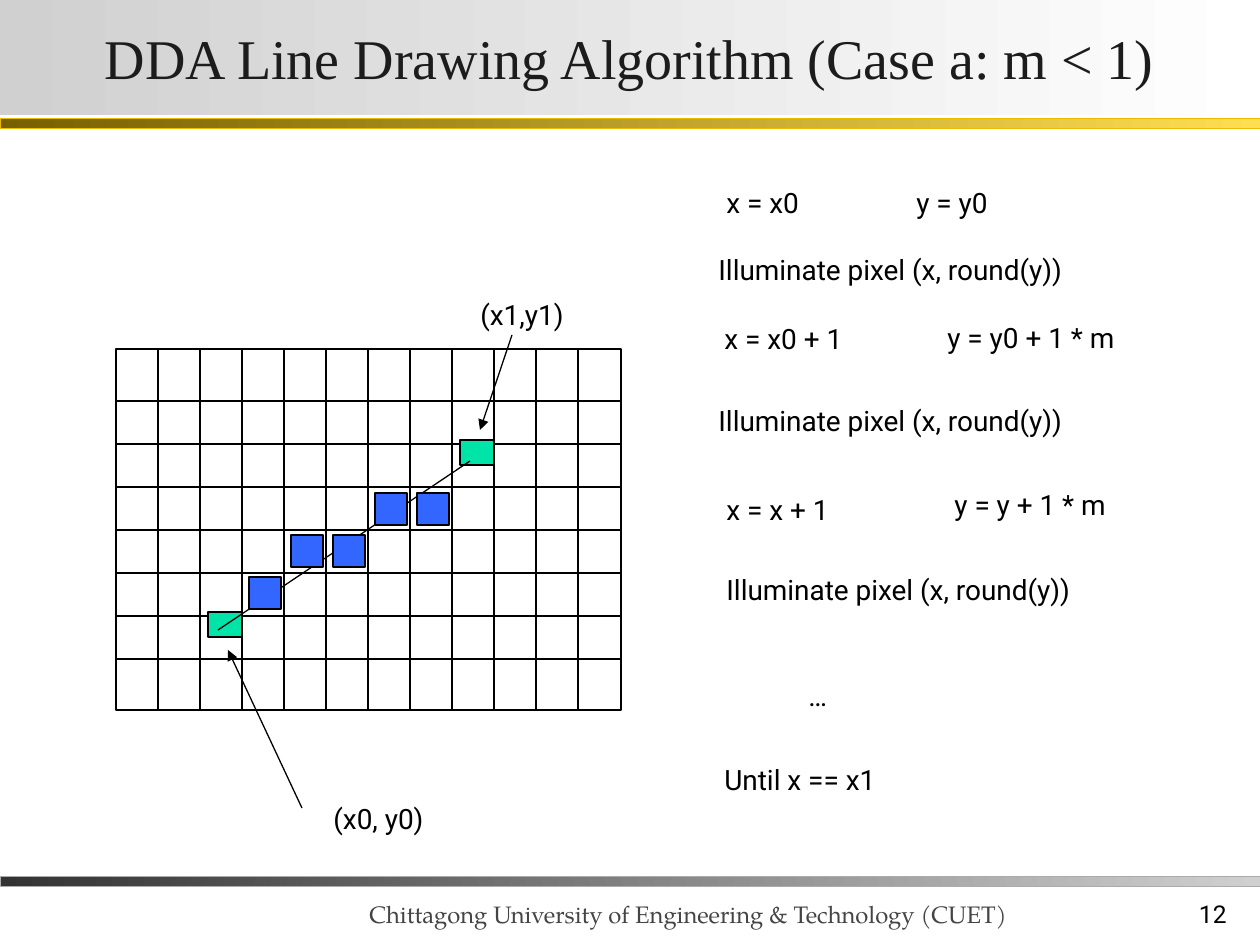
"""Build the slide on the DDA line drawing algorithm for slopes below one."""
from dataclasses import dataclass
from typing import NamedTuple

from lxml.etree import SubElement
from pptx import Presentation
from pptx.dml.color import RGBColor
from pptx.enum.shapes import MSO_CONNECTOR as Connector, MSO_SHAPE as Preset
from pptx.enum.text import MSO_ANCHOR as Anchor, PP_ALIGN as Align
from pptx.oxml.ns import qn
from pptx.util import Emu, Pt

EMU_PER_INCH = 914400
PX_PER_INCH = 126


class Box(NamedTuple):
    left: int
    top: int
    width: int
    height: int


class Point(NamedTuple):
    x: int
    y: int


@dataclass(frozen=True)
class Style:
    font: str
    size: float
    color: str


@dataclass(frozen=True)
class Theme:
    title: Style = Style("Times New Roman", 32, "1C1C1C")
    label: Style = Style("Roboto", 16, "000000")
    footer: Style = Style("TeX Gyre Pagella", 13.6, "444444")
    number: Style = Style("Roboto", 14, "000000")
    ink: str = "000000"
    endpoint: str = "00E4A8"
    pixel: str = "3366FF"
    title_fade: tuple[str, str] = ("D0D0D0", "FFFFFF")
    gold_fade: tuple[str, str] = ("766000", "FFDE53")
    gray_fade: tuple[str, str] = ("333333", "D0D0D0")
    gold_edge: str = "E8BC00"
    gray_edge: str = "ABABAB"
    stroke: float = 0.75
    hairline: float = 0.25


@dataclass(frozen=True)
class Label:
    text: str
    box: Box
    tab: int = 0


THEME = Theme()
GRID = Box(116, 349, 505, 361)
COLUMNS = 12
ROW_LINES = range(401, 660, 43)
PIXEL_STEP = 42
PIXEL_COUNT = 5
FIRST_PIXEL = Box(249, 577, 32, 32)
ENDPOINTS = (Box(208, 612, 34, 25), Box(460, 440, 34, 25))
ILLUMINATE = "Illuminate pixel (x, round(y))"
LABELS = (
    Label("(x0, y0)", Box(321, 795, 122, 47)),
    Label("(x1,y1)", Box(468, 291, 113, 47)),
    Label("x = x0\ty = y0", Box(714, 179, 336, 47), tab=190),
    Label(ILLUMINATE, Box(706, 246, 382, 47)),
    Label("x = x0 + 1", Box(712, 315, 168, 47)),
    Label("y = y0 + 1 * m", Box(935, 314, 233, 47)),
    Label(ILLUMINATE, Box(706, 397, 382, 47)),
    Label("x = x + 1", Box(714, 486, 144, 47)),
    Label("y = y + 1 * m", Box(942, 481, 218, 47)),
    Label(ILLUMINATE, Box(714, 566, 382, 47)),
    Label("…", Box(796, 672, 48, 47)),
    Label("Until x == x1", Box(712, 756, 200, 47)),
)


def px(length: int) -> Emu:
    """Turn a length in px into EMU."""
    return Emu(round(length * EMU_PER_INCH / PX_PER_INCH))


def place(box: Box) -> list[Emu]:
    """Return the four sides of a box in EMU."""
    return [px(length) for length in box]


def rgb(color: str) -> RGBColor:
    """Return the colour for a hex string."""
    return RGBColor.from_string(color)


def write(frame, text: str, style: Style, align=Align.LEFT, anchor=Anchor.TOP, tab: int = 0) -> None:
    """Put one styled paragraph in a text frame."""
    frame.word_wrap = True
    frame.vertical_anchor = anchor
    para = frame.paragraphs[0]
    para.text = text
    para.alignment = align
    if tab:
        tab_list = SubElement(para._p.get_or_add_pPr(), qn("a:tabLst"))
        SubElement(tab_list, qn("a:tab"), pos=str(px(tab)), algn="l")
    para.font.name = style.font
    para.font.size = Pt(style.size)
    para.font.color.rgb = rgb(style.color)


def add_text(shapes, text: str, box: Box, style: Style, **options) -> None:
    """Add a text box."""
    write(shapes.add_textbox(*place(box)).text_frame, text, style, **options)


def fade(shape, colors: tuple[str, str]) -> None:
    """Fill a shape with a gradient from left to right."""
    shape.fill.gradient()
    shape.fill.gradient_angle = 0
    for stop, color in zip(shape.fill.gradient_stops, colors):
        stop.color.rgb = rgb(color)


def add_rectangle(shapes, box: Box, fill: str | None = None,
                  edge: str = THEME.ink, stroke: float = THEME.stroke):
    """Add an outlined rectangle, hollow unless a fill is given."""
    shape = shapes.add_shape(Preset.RECTANGLE, *place(box))
    shape.shadow.inherit = False
    if fill:
        shape.fill.solid()
        shape.fill.fore_color.rgb = rgb(fill)
    else:
        shape.fill.background()
    shape.line.color.rgb = rgb(edge)
    shape.line.width = Pt(stroke)
    return shape


def add_line(shapes, start: Point, end: Point, arrow: bool = False) -> None:
    """Add a straight line, with an arrowhead at its end if asked."""
    line = shapes.add_connector(Connector.STRAIGHT, *map(px, start + end))
    line.line.color.rgb = rgb(THEME.ink)
    line.line.width = Pt(THEME.stroke)
    properties = line._element.spPr
    if arrow:
        SubElement(properties.find(qn("a:ln")), qn("a:tailEnd"), type="triangle")
    SubElement(properties, qn("a:effectLst"))


def add_grid(shapes) -> None:
    """Add the pixel grid as one group."""
    cells = shapes.add_group_shape().shapes
    add_rectangle(cells, GRID)
    right, bottom = GRID.left + GRID.width, GRID.top + GRID.height
    for column in range(1, COLUMNS):
        x = GRID.left + GRID.width * column // COLUMNS
        add_line(cells, Point(x, GRID.top), Point(x, bottom))
    for y in ROW_LINES:
        add_line(cells, Point(GRID.left, y), Point(right, y))


def main() -> None:
    """Build and save the deck."""
    deck = Presentation()
    deck.slide_width, deck.slide_height = px(1260), px(945)
    page = deck.slides.add_slide(deck.slide_layouts.get_by_name("Title Only"))
    shapes = page.shapes

    title = shapes.title
    title.left, title.top, title.width, title.height = place(Box(0, 0, 1260, 115))
    fade(title, THEME.title_fade)
    write(title.text_frame, "DDA Line Drawing Algorithm (Case a: m < 1)",
          THEME.title, Align.CENTER, Anchor.MIDDLE)
    for top, colors, edge in ((118, THEME.gold_fade, THEME.gold_edge),
                              (876, THEME.gray_fade, THEME.gray_edge)):
        fade(add_rectangle(shapes, Box(0, top, 1260, 10), edge=edge, stroke=THEME.hairline), colors)
    add_text(shapes, "Chittagong University of Engineering & Technology (CUET)",
             Box(357, 857, 683, 78), THEME.footer, anchor=Anchor.BOTTOM)
    add_text(shapes, "12", Box(977, 872, 262, 63), THEME.number,
             align=Align.RIGHT, anchor=Anchor.BOTTOM)

    add_grid(shapes)
    endpoints = shapes.add_group_shape().shapes
    for box in ENDPOINTS:
        add_rectangle(endpoints, box, THEME.endpoint)
    add_line(shapes, Point(218, 630), Point(470, 461))
    for index in range(PIXEL_COUNT):
        left = FIRST_PIXEL.left + PIXEL_STEP * index
        top = FIRST_PIXEL.top - PIXEL_STEP * ((index + 1) // 2)
        add_rectangle(shapes, FIRST_PIXEL._replace(left=left, top=top), THEME.pixel)
    add_line(shapes, Point(302, 808), Point(228, 650), arrow=True)
    add_line(shapes, Point(512, 335), Point(480, 430), arrow=True)
    for label in LABELS:
        add_text(shapes, label.text, label.box, THEME.label, tab=label.tab)
    deck.save("out.pptx")


if __name__ == "__main__":
    main()
